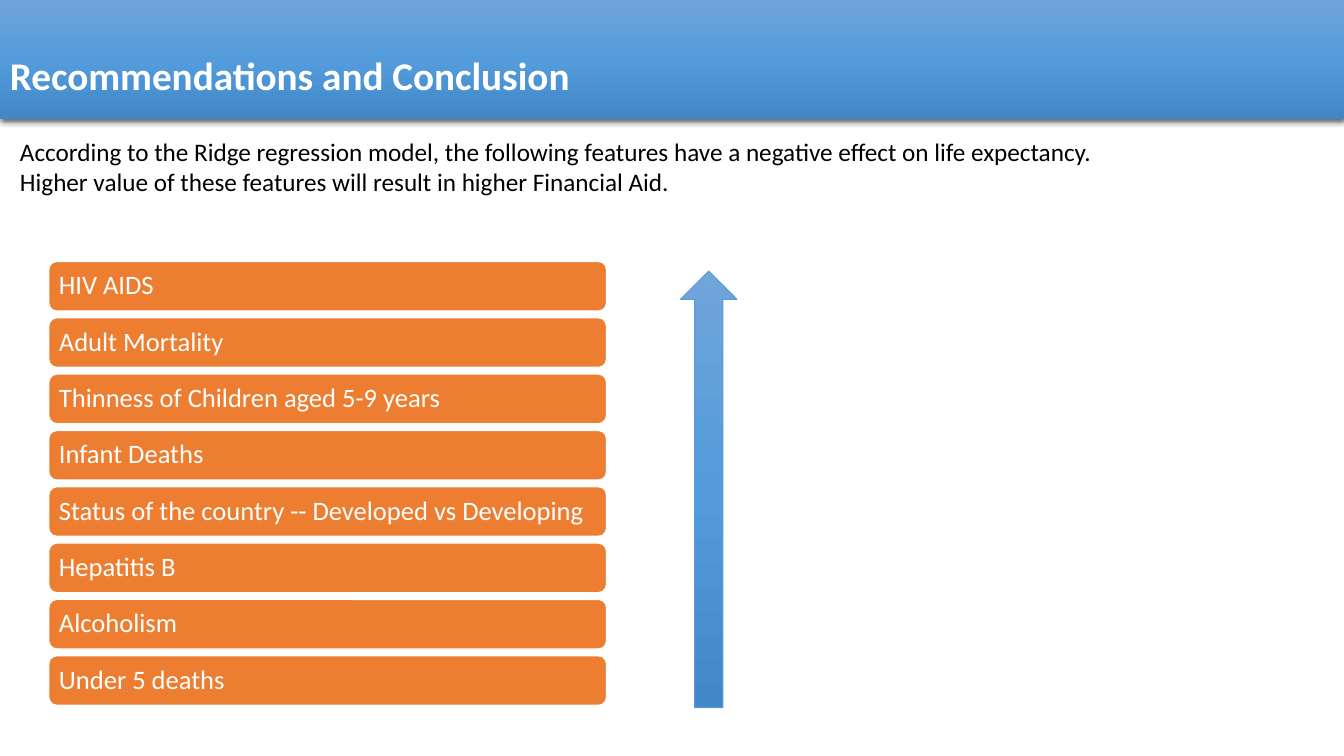
from pptx import Presentation
from pptx.dml.color import RGBColor
from pptx.enum.shapes import MSO_SHAPE
from pptx.enum.text import MSO_ANCHOR, PP_ALIGN
from pptx.oxml.ns import qn
from pptx.util import Inches, Pt
from lxml.etree import SubElement

WIDTH, HEIGHT = Inches(13.33), Inches(7.5)
BLUES = {0: "70A5DA", 50: "539BDB", 100: "4288C8"}
FACTORS = [
    "HIV AIDS",
    "Adult Mortality",
    "Thinness of Children aged 5-9 years",
    "Infant Deaths",
    "Status of the country -- Developed vs Developing",
    "Hepatitis B",
    "Alcoholism",
    "Under 5 deaths",
]
INTRO = ("According to the Ridge regression model, the following features have "
         "a negative effect on life expectancy. Higher value of these features "
         "will result in higher Financial Aid.")


def color(code):
    return RGBColor.from_string(code)


def apply(item, values):
    for name, value in values.items():
        setattr(item, name, value)


def area(left, top, width, height):
    """Turn percentages of the slide into lengths."""
    return [int(share * side / 100) for share, side in
            zip((left, top, width, height), (WIDTH, HEIGHT) * 2)]


def add_box(slide, kind, place, line=None, weight=0):
    box = slide.shapes.add_shape(kind, *area(*place))
    box.shadow.inherit = False
    if line:
        box.line.color.rgb = color(line)
        box.line.width = Pt(weight)
    else:
        box.line.fill.background()
    return box


def blend(box, stops):
    """Fill a shape from top to bottom with the given colour stops."""
    box.fill.gradient()
    box.fill.gradient_angle = 270
    group = box._element.spPr.find(qn("a:gradFill")).find(qn("a:gsLst"))
    for old in list(group):
        group.remove(old)
    for share, code in stops.items():
        stop = SubElement(group, qn("a:gs"), pos=str(share * 1000))
        SubElement(stop, qn("a:srgbClr"), val=code)


def cast(box, blur, drop, alpha):
    """Give a shape a soft black shadow below it."""
    effects = box._element.spPr.find(qn("a:effectLst"))
    shade = SubElement(effects, qn("a:outerShdw"), blurRad=str(Pt(blur)),
                       dist=str(Pt(drop)), dir="5400000", rotWithShape="0")
    ink = SubElement(shade, qn("a:srgbClr"), val="000000")
    SubElement(ink, qn("a:alpha"), val=str(alpha * 1000))


def write(box, text, size, code, bold=False, spacing=1.0, **frame):
    apply(box.text_frame, {"word_wrap": True,
                           "vertical_anchor": MSO_ANCHOR.TOP, **frame})
    para = box.text_frame.paragraphs[0]
    para.text = text
    apply(para, {"alignment": PP_ALIGN.LEFT, "line_spacing": spacing})
    font = para.runs[0].font
    apply(font, {"name": "Calibri", "size": Pt(size), "bold": bold})
    font.color.rgb = color(code)


def add_banner(slide, title):
    banner = add_box(slide, MSO_SHAPE.RECTANGLE, (0, 0, 100, 15.73))
    blend(banner, BLUES)
    cast(banner, 4.5, 1.5, 63)
    write(banner, title, 28, "FFFFFF", bold=True, spacing=0.9,
          margin_top=Inches(0.56))


def add_bars(slide, labels):
    pad = Inches(0.08)
    for row, label in enumerate(labels):
        place = (3.6, 34.53 + row * 7.45, 41.56, 6.67)
        bar = add_box(slide, MSO_SHAPE.ROUNDED_RECTANGLE, place, "FFFFFF", 1.5)
        bar.fill.solid()
        bar.fill.fore_color.rgb = color("ED7D31")
        write(bar, label, 19, "FFFFFF", spacing=0.9,
              vertical_anchor=MSO_ANCHOR.MIDDLE, margin_left=pad,
              margin_right=pad, margin_top=pad, margin_bottom=pad)


def main():
    deck = Presentation()
    apply(deck, {"slide_width": WIDTH, "slide_height": HEIGHT})
    slide = deck.slides.add_slide(deck.slide_layouts[6])
    add_banner(slide, "Recommendations and Conclusion")
    add_bars(slide, FACTORS)
    intro = slide.shapes.add_textbox(*area(0.75, 17.33, 82.75, 13.47))
    write(intro, INTRO, 18, "000000")
    arrow = add_box(slide, MSO_SHAPE.UP_ARROW, (50.64, 35.87, 4.2, 57.73),
                    "5B9BD5", 0.75)
    blend(arrow, BLUES)
    deck.save("out.pptx")


if __name__ == "__main__":
    main()
